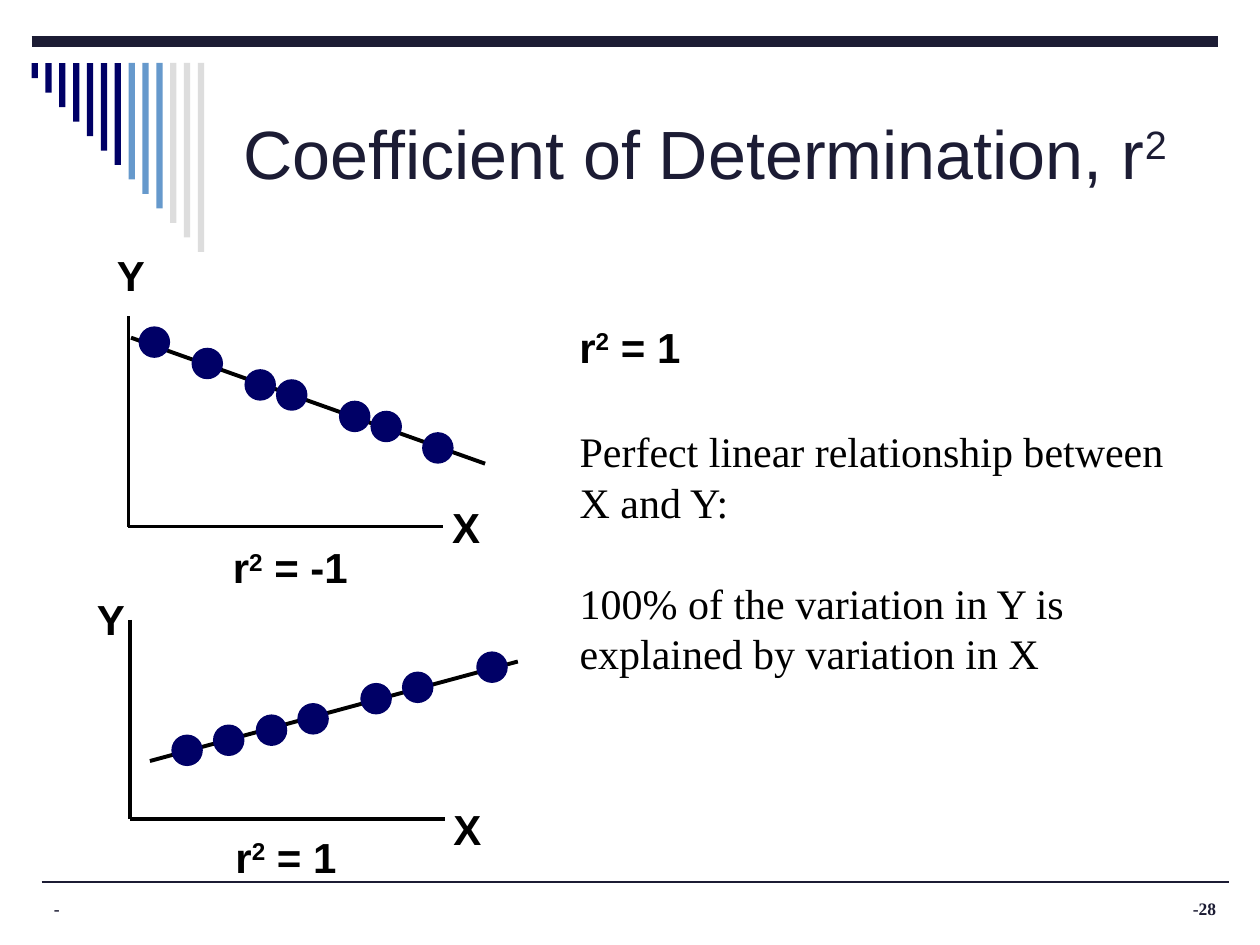
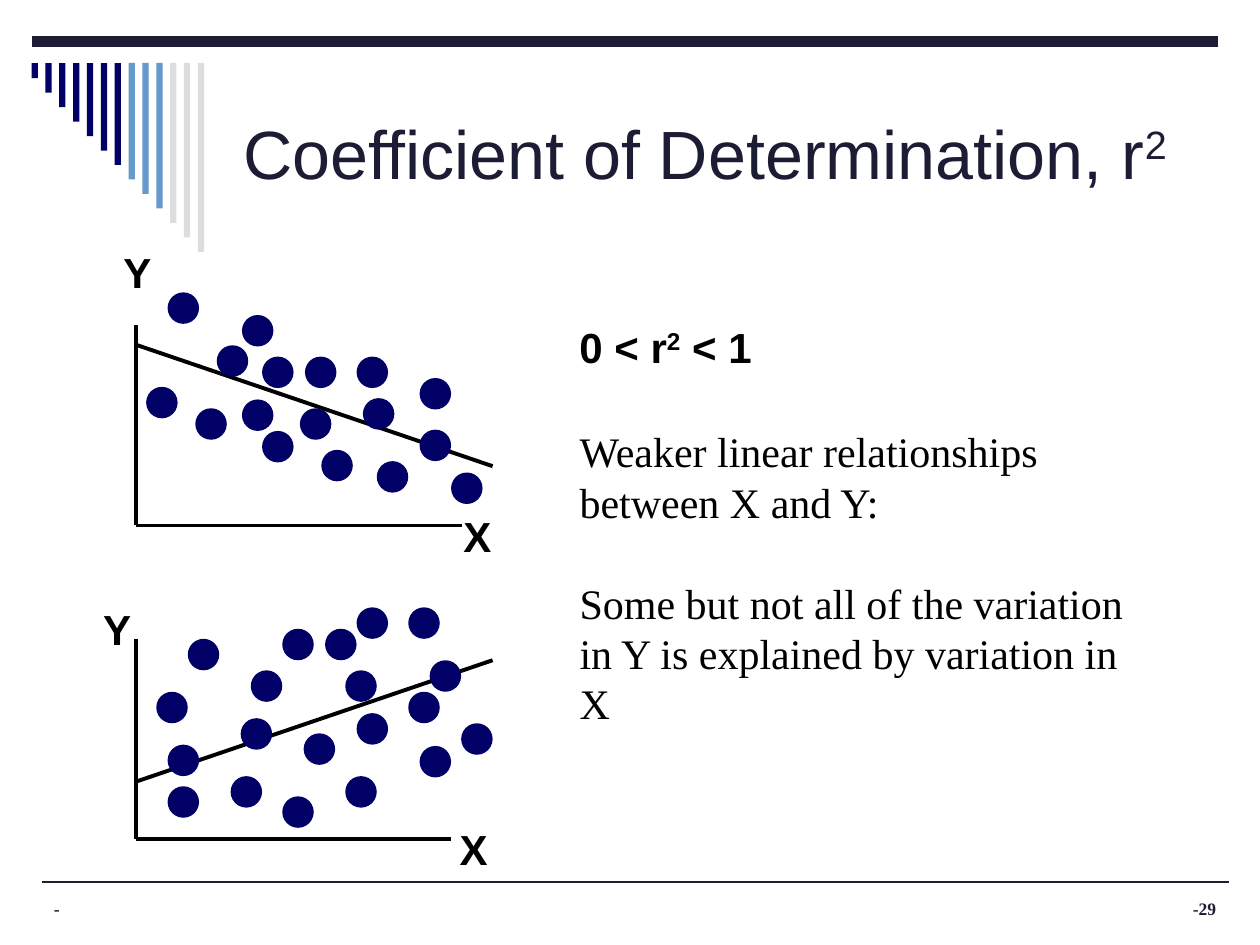
from dataclasses import dataclass

from lxml.etree import SubElement
from pptx import Presentation
from pptx.dml.color import RGBColor as RGB
from pptx.enum.shapes import MSO_CONNECTOR as CONN, MSO_SHAPE as SHAPE
from pptx.enum.text import MSO_ANCHOR as ANCHOR, MSO_AUTO_SIZE as FIT, PP_ALIGN as ALIGN
from pptx.oxml.ns import qn
from pptx.util import Inches, Pt


@dataclass(frozen=True)
class Theme:
    """Colours, fonts, type sizes and grid shared by all slides."""
    ink: str = "1C1C34"
    black: str = "000000"
    navy: str = "000066"
    sky: str = "6699CC"
    grey: str = "DDDDDD"
    sans: str = "Arial"
    serif: str = "Times New Roman"
    title: int = 39
    text: int = 24
    small: int = 10
    leading: float = 28.8
    cols: float = 10
    rows: float = 7.5
    dot: float = 0.25


@dataclass(frozen=True)
class Plot:
    """A scatter sketch in grid units, with dots given by their top left corners."""
    origin: tuple
    top: float
    right: float
    trend: tuple
    y_label: tuple
    x_label: tuple
    dots: tuple


def write(p, text, font, size, color, bold=False, align=ALIGN.LEFT):
    """Fill a paragraph; text between carets is superscript."""
    p.alignment = align
    for i, part in enumerate(text.split("^")):
        if not part:
            continue
        r = p.add_run()
        r.text = part
        r.font.name, r.font.size, r.font.bold = font, Pt(size), bold
        r.font.color.rgb = RGB.from_string(color)
        if i % 2:
            r._r.get_or_add_rPr().set("baseline", "30000")


class Deck:
    """Holds the theme and the current slide, and draws each kind of element."""

    def __init__(self, theme):
        """Start an empty presentation."""
        self.t = theme
        self.prs = Presentation()
        self.prs.slide_width, self.prs.slide_height = Inches(10), Inches(7.5)

    def x(self, cols):
        """Turn grid columns into a length."""
        return round(self.prs.slide_width * cols / self.t.cols)

    def y(self, rows):
        """Turn grid rows into a length."""
        return round(self.prs.slide_height * rows / self.t.rows)

    def box(self, x, y, w, h):
        """Turn a grid rectangle into lengths."""
        return self.x(x), self.y(y), self.x(w), self.y(h)

    def slide(self, title, number):
        """Add a slide with its title, bands and footer."""
        t = self.t
        self.s = self.prs.slides.add_slide(self.prs.slide_layouts[1])
        self.line((0.33, 7), (9.75, 7), t.ink, 1)
        self.line((0.25, 0.33), (9.67, 0.33), t.ink, 6)
        for i, color in enumerate([t.navy] * 7 + [t.sky] * 3 + [t.grey] * 3):
            self.shape(SHAPE.RECTANGLE, 0.25 + 0.11 * i, 0.5, 0.05, 0.12 + 0.115 * i, color)
        footer = dict(font=t.serif, size=t.small, color=t.ink, bold=True)
        self.text("-", 0.33, 7.08, 6.25, 0.25, wrap=True, **footer)
        self.text(f"-{number}", 7.42, 7.08, 2.33, 0.25, wrap=True, align=ALIGN.RIGHT, **footer)
        tf = self.place(self.s.shapes.title, 1.83, 0.5, 7.67, 1.42)
        tf.vertical_anchor = ANCHOR.MIDDLE
        write(tf.paragraphs[0], title, t.sans, t.title, t.ink)

    def place(self, sp, *box):
        """Move a placeholder and return its text frame."""
        sp.left, sp.top, sp.width, sp.height = self.box(*box)
        sp.text_frame.auto_size = FIT.NONE
        return sp.text_frame

    def body(self, paragraphs, *box):
        """Fill the body placeholder with plain paragraphs a line apart."""
        t = self.t
        tf = self.place(self.s.placeholders[1], *box)
        for i, text in enumerate(paragraphs):
            p = tf.add_paragraph() if i else tf.paragraphs[0]
            pPr = p._p.get_or_add_pPr()
            pPr.set("marL", "0")
            pPr.set("indent", "0")
            SubElement(pPr, qn("a:buNone"))
            p.line_spacing = Pt(t.leading)
            p.space_before = Pt(t.leading if i else 0)
            write(p, text, t.serif, t.text, t.black)

    def text(self, text, x, y, w, h, wrap=False, **fmt):
        """Add a text box."""
        tf = self.s.shapes.add_textbox(*self.box(x, y, w, h)).text_frame
        tf.word_wrap = wrap
        write(tf.paragraphs[0], text, **fmt)

    def label(self, text, x, y, w=0.42):
        """Add a bold label."""
        t = self.t
        self.text(text, x, y, w, 0.5, font=t.sans, size=t.text, color=t.black, bold=True)

    def shape(self, kind, x, y, w, h, color):
        """Add a filled shape without outline."""
        sp = self.s.shapes.add_shape(kind, *self.box(x, y, w, h))
        sp.shadow.inherit = False
        sp.fill.solid()
        sp.fill.fore_color.rgb = RGB.from_string(color)
        sp.line.fill.background()

    def line(self, start, end, color, width):
        """Add a straight line between two grid points."""
        (x1, y1), (x2, y2) = start, end
        c = self.s.shapes.add_connector(CONN.STRAIGHT, self.x(x1), self.y(y1), self.x(x2), self.y(y2))
        c.line.color.rgb = RGB.from_string(color)
        c.line.width = Pt(width)
        SubElement(c._element.spPr, qn("a:effectLst"))

    def plot(self, plot):
        """Draw axes, trend line, dots and axis labels."""
        t, (x, y) = self.t, plot.origin
        self.line((x, plot.top), plot.origin, t.black, 2)
        self.line(plot.origin, (plot.right, y), t.black, 2)
        self.line(*plot.trend, t.black, 2.25)
        for left, top in plot.dots:
            self.shape(SHAPE.OVAL, left, top, t.dot, t.dot, t.navy)
        self.label("Y", *plot.y_label)
        self.label("X", *plot.x_label)


PERFECT_FALL = Plot(
    (1.02, 4.18), 2.51, 3.52, ((1.04, 2.68), (3.85, 3.68)), (0.83, 1.93), (3.49, 3.93),
    ((1.1, 2.59), (1.52, 2.76), (1.94, 2.93), (2.19, 3.01), (2.69, 3.18), (2.94, 3.26),
     (3.35, 3.43)))
PERFECT_RISE = Plot(
    (1.03, 6.5), 4.92, 3.53, ((1.19, 6.04), (4.11, 5.25)), (0.67, 4.66), (3.5, 6.33),
    ((1.36, 5.83), (1.69, 5.75), (2.03, 5.67), (2.36, 5.58), (2.86, 5.42), (3.19, 5.33),
     (3.78, 5.17)))
WEAK_FALL = Plot(
    (1.08, 4.17), 2.58, 3.67, ((1.09, 2.74), (3.91, 3.7)), (0.88, 1.91), (3.58, 4),
    ((1.16, 3.07), (1.33, 2.32), (1.55, 3.24), (1.72, 2.74), (1.92, 2.5), (1.92, 3.17),
     (2.08, 2.83), (2.08, 3.42), (2.38, 3.24), (2.42, 2.83), (2.55, 3.57), (2.83, 2.83),
     (2.88, 3.16), (2.99, 3.66), (3.33, 3), (3.33, 3.41), (3.58, 3.75)))
WEAK_RISE = Plot(
    (1.08, 6.66), 5.07, 3.58, ((1.09, 6.2), (3.91, 5.24)), (0.72, 4.74), (3.55, 6.49),
    ((1.24, 5.49), (1.33, 5.91), (1.33, 6.24), (1.49, 5.07), (1.83, 6.16), (1.91, 5.7),
     (1.99, 5.32), (2.24, 4.99), (2.24, 6.32), (2.41, 5.82), (2.58, 4.99), (2.74, 5.32),
     (2.74, 6.16), (2.83, 4.82), (2.83, 5.66), (3.24, 4.82), (3.24, 5.49), (3.33, 5.92),
     (3.41, 5.24), (3.66, 5.74)))


def main():
    """Build both slides."""
    deck = Deck(Theme())
    title = "Coefficient of Determination, r^2^"

    deck.slide(title, 28)
    deck.plot(PERFECT_FALL)
    deck.label("r^2^ = -1", 1.75, 4.25, 1.13)
    deck.plot(PERFECT_RISE)
    deck.label("r^2^ = 1", 1.77, 6.55, 1.02)
    deck.label("r^2^ = 1", 4.5, 2.5, 1.02)
    deck.body(["Perfect linear relationship between X and Y:",
               "100% of the variation in Y is explained by variation in X"],
              4.5, 3.33, 4.85, 2.1)

    deck.slide(title, 29)
    deck.plot(WEAK_FALL)
    deck.plot(WEAK_RISE)
    deck.label("0 < r^2^ < 1", 4.5, 2.5, 1.58)
    deck.body(["Weaker linear relationships between X and Y:",
               "Some but not all of the variation in Y is explained by variation in X"],
              4.5, 3.33, 4.58, 2.5)

    deck.prs.save("out.pptx")


if __name__ == "__main__":
    main()
